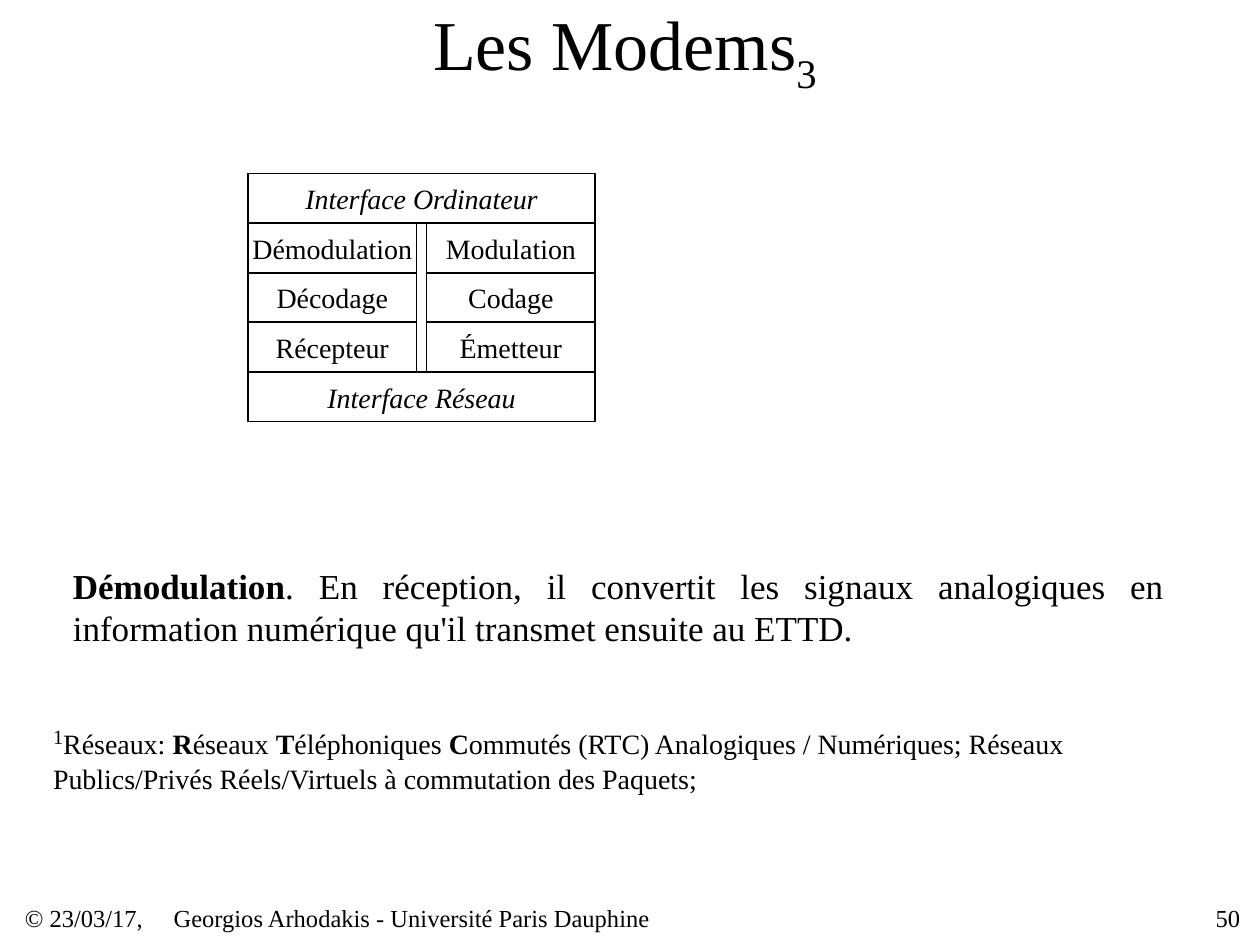
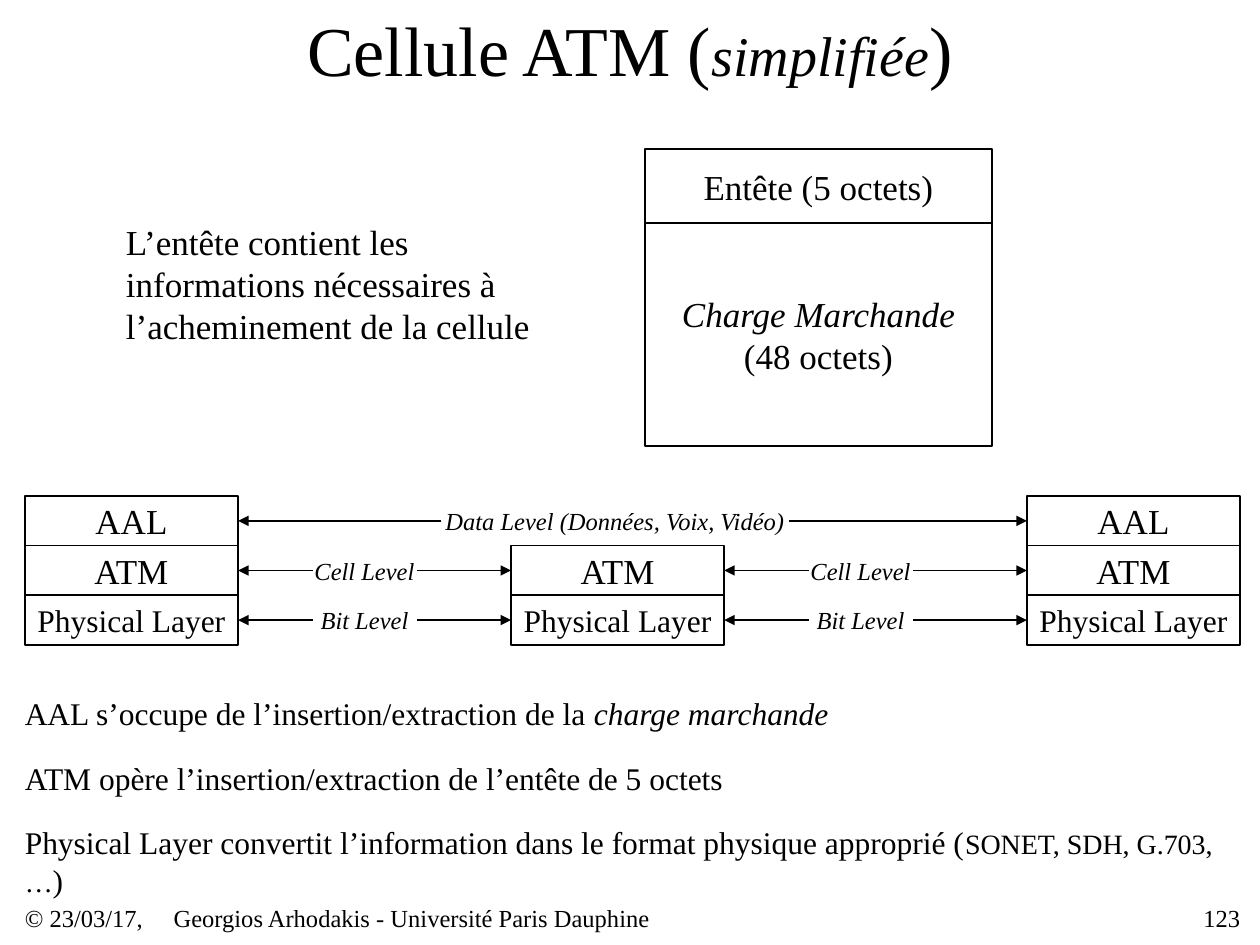
"""Build two course slides about modems and the ATM cell."""
from lxml import etree
from pptx import Presentation
from pptx import util as u
from pptx.dml import color
from pptx.enum import shapes, text
from pptx.oxml import ns

FONT = "Times New Roman"
INK = "000000"
LEFT, CENTER, RIGHT, JUSTIFY = (
    text.PP_ALIGN.LEFT, text.PP_ALIGN.CENTER, text.PP_ALIGN.RIGHT, text.PP_ALIGN.JUSTIFY)
BOLD = {"bold": True}
ITALIC = {"italic": True}


def write(shape, paragraphs, size, alignment):
    """Fill a shape with paragraphs, each a list of (text, format) runs."""
    frame = shape.text_frame
    frame.word_wrap = True
    frame.auto_size = text.MSO_AUTO_SIZE.NONE
    frame.vertical_anchor = text.MSO_ANCHOR.MIDDLE
    for index, runs in enumerate(paragraphs):
        paragraph = frame.add_paragraph() if index else frame.paragraphs[0]
        paragraph.alignment = alignment
        for words, changes in runs:
            run = paragraph.add_run()
            run.text = words
            values = {"name": FONT, "size": u.Pt(size), **changes}
            baseline = values.pop("baseline", None)
            for name, value in values.items():
                setattr(run.font, name, value)
            run.font.color.rgb = color.RGBColor.from_string(INK)
            if baseline:
                run.font._element.set("baseline", str(baseline))


def add_block(slide, area, paragraphs, size, alignment=LEFT, outlined=False):
    """Add text without margins, in an outlined rectangle if asked."""
    lengths = [u.Cm(value) for value in area]
    if outlined:
        shape = slide.shapes.add_shape(shapes.MSO_SHAPE.RECTANGLE, *lengths)
        shape.shadow.inherit = False
        shape.fill.background()
        shape.line.color.rgb = color.RGBColor.from_string(INK)
        shape.line.width = u.Pt(1)
    else:
        shape = slide.shapes.add_textbox(*lengths)
    for side in ("left", "top", "right", "bottom"):
        setattr(shape.text_frame, f"margin_{side}", 0)
    write(shape, paragraphs, size, alignment)


presentation = Presentation()
presentation.slide_width = u.Cm(25.4)
presentation.slide_height = u.Cm(19.05)

pages = [
    (2.75, 19.7, [("Les Modems", {}), ("3", {"baseline": -25000})], "50"),
    (1.9, 21.6, [("Cellule ATM (", {}), ("simplifiée", {"size": u.Pt(32), **ITALIC}),
                 (")", {})], "123"),
]
for left, width, title_runs, number in pages:
    slide = presentation.slides.add_slide(presentation.slide_layouts[5])
    title = slide.shapes.title
    title.left, title.top, title.width, title.height = (
        u.Cm(left), u.Cm(0), u.Cm(width), u.Cm(1.96))
    write(title, [title_runs], 40, CENTER)
    for left, width, words, alignment in [
        (0.5, 3, "© 23/03/17,", LEFT),
        (3.5, 15, "Georgios Arhodakis - Université Paris Dauphine", LEFT),
        (22.5, 2.5, number, RIGHT),
    ]:
        add_block(slide, (left, 18.2, width, 0.6), [[(words, {})]], 14, alignment)
modem_slide, cell_slide = presentation.slides

modem_left, modem_top, modem_width, part_width = 5, 3.5, 7, 3.4
modem_rows = [
    ["Interface Ordinateur"],
    ["Démodulation", "Modulation"],
    ["Décodage", "Codage"],
    ["Récepteur", "Émetteur"],
    ["Interface Réseau"],
]
for row, names in enumerate(modem_rows):
    is_interface = len(names) == 1
    width = modem_width if is_interface else part_width
    for column, name in enumerate(names):
        left = modem_left + column * (modem_width - part_width)
        add_block(modem_slide, (left, modem_top + row, width, 1),
                  [[(name, ITALIC if is_interface else {})]], 16, CENTER, True)

add_block(modem_slide, (1.47, 11.23, 22, 2), [[
    ("Démodulation", BOLD),
    (". En réception, il convertit les signaux analogiques en information numérique "
     "qu'il transmet ensuite au ETTD.", {}),
]], 20, JUSTIFY)
add_block(modem_slide, (1.07, 14.6, 23.3, 1.35), [[
    ("1", {"size": u.Pt(20), "baseline": 30000}),
    ("Réseaux: ", {}),
    ("R", BOLD), ("éseaux ", {}),
    ("T", BOLD), ("éléphoniques ", {}),
    ("C", BOLD),
    ("ommutés (RTC) Analogiques / Numériques; Réseaux Publics/Privés Réels/Virtuels "
     "à commutation des Paquets;", {}),
]], 16)

add_block(cell_slide, (2.54, 4.45, 8.4, 2.54), [[
    ("L’entête contient les informations nécessaires à l’acheminement de la cellule", {}),
]], 20)
add_block(cell_slide, (13, 3, 7, 1.5), [[("Entête (5 octets)", {})]], 20, CENTER, True)
add_block(cell_slide, (13, 4.5, 7, 4.5),
          [[("Charge Marchande", ITALIC)], [("(48 octets)", {})]], 20, CENTER, True)

stack_top, stack_width = 10, 4.3
sender, switch, receiver = 0.5, 10.3, 20.7
layers = [("AAL", 20), ("ATM", 20), ("Physical Layer", 18)]
for stack_left, first_layer in [(sender, 0), (switch, 1), (receiver, 0)]:
    for row, (name, size) in enumerate(layers):
        if row >= first_layer:
            add_block(cell_slide, (stack_left, stack_top + row, stack_width, 1),
                      [[(name, {})]], size, CENTER, True)

exchanges = [
    ("Data Level (Données, Voix, Vidéo)", 0, sender, receiver, 8.9, 7),
    ("Cell Level", 1, sender, switch, 6.3, 2.1),
    ("Bit Level", 2, sender, switch, 6.3, 2.1),
    ("Cell Level", 1, switch, receiver, 16.3, 2.1),
    ("Bit Level", 2, switch, receiver, 16.3, 2.1),
]
for name, row, left_stack, right_stack, label_left, label_width in exchanges:
    add_block(cell_slide, (label_left, stack_top + row + 0.1, label_width, 0.8),
              [[(name, ITALIC)]], 14, CENTER)
    level = u.Cm(stack_top + row + 0.5)
    for start, end in [(label_left, left_stack + stack_width),
                       (label_left + label_width, right_stack)]:
        arrow = cell_slide.shapes.add_connector(
            shapes.MSO_CONNECTOR.STRAIGHT, u.Cm(start), level, u.Cm(end), level)
        arrow.line.color.rgb = color.RGBColor.from_string(INK)
        arrow.line.width = u.Pt(1)
        etree.SubElement(arrow.line._get_or_add_ln(), ns.qn("a:tailEnd"), type="triangle")
        etree.SubElement(arrow._element.spPr, ns.qn("a:effectLst"))

roles = [
    (16.6, 0.76, [("AAL s’occupe de l’insertion/extraction de la ", {}),
                  ("charge marchande", ITALIC)]),
    (16.6, 0.76, [("ATM opère l’insertion/extraction de l’entête de 5 octets", {})]),
    (24.5, 1.52, [("Physical Layer convertit l’information dans le format physique approprié (", {}),
                  ("SONET, SDH, G.703, …", {"size": u.Pt(16)}), (")", {})]),
]
for row, (width, height, runs) in enumerate(roles):
    add_block(cell_slide, (0.5, 14 + 1.3 * row, width, height), [runs], 18)

presentation.save("out.pptx")
